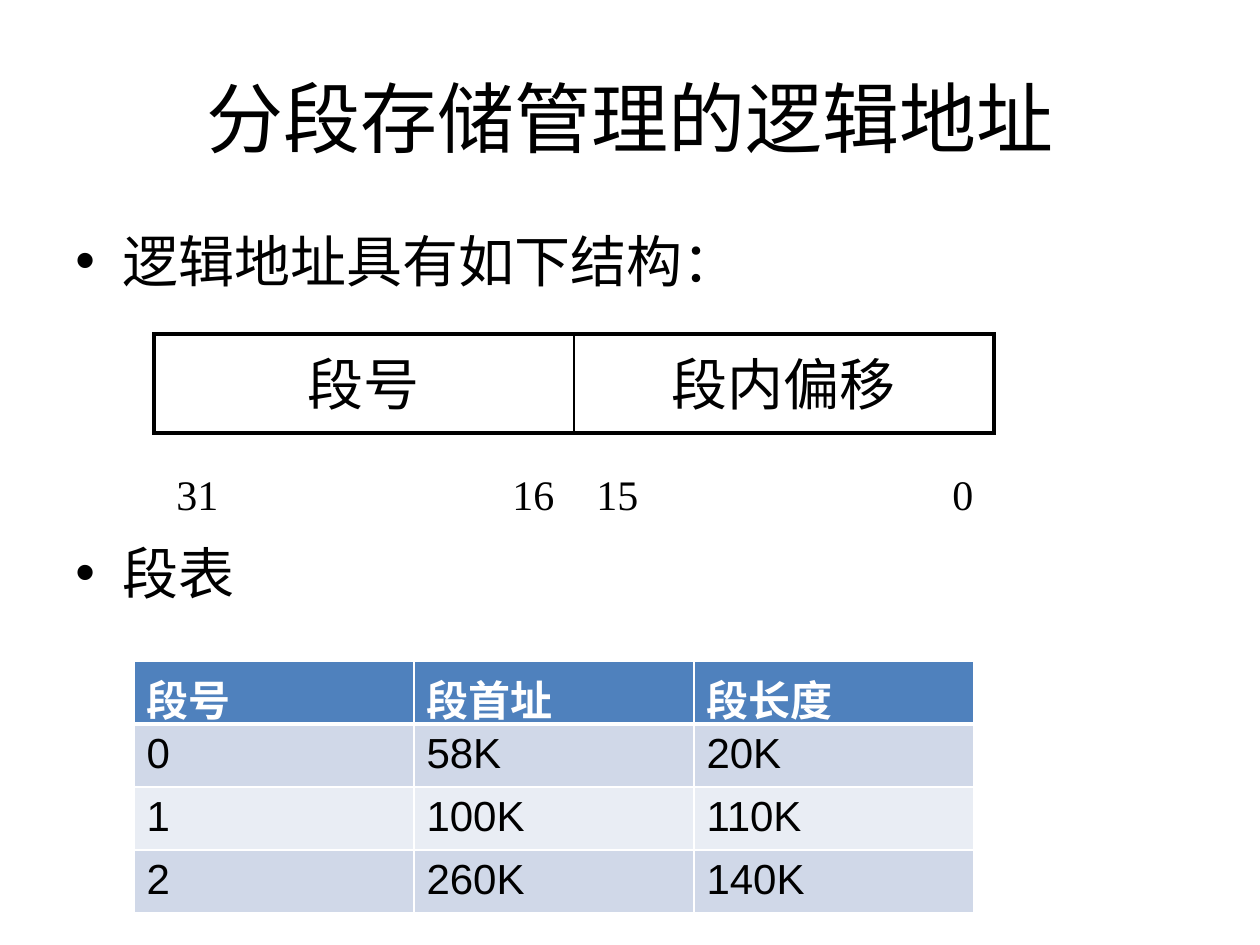
from dataclasses import dataclass
from lxml.etree import SubElement
from pptx import Presentation
from pptx.dml.color import RGBColor
from pptx.enum.text import MSO_ANCHOR, PP_ALIGN
from pptx.oxml.ns import qn
from pptx.util import Pt

PIXEL = 914400 // 126


@dataclass(frozen=True)
class Theme:
    black: str = "000000"
    white: str = "FFFFFF"
    header: str = "4F81BD"
    bands: tuple = ("D0D8E8", "E9EDF4")
    heading_font: str = "Calibri"
    table_font: str = "Arial"
    bit_font: str = "Times New Roman"
    title_size: int = 44
    body_size: int = 32
    small_size: int = 24


theme = Theme()


def write(paragraph, text, font, size, color=theme.black, bold=False,
          align=PP_ALIGN.LEFT, before=0):
    paragraph.alignment = align
    paragraph.space_before = Pt(before)
    run = paragraph.add_run()
    run.text = text
    run.font.name = font
    run.font.size = Pt(size)
    run.font.bold = bold
    run.font.color.rgb = RGBColor.from_string(color)


def set_borders(cell, color, left=1, right=1, top=1, bottom=1):
    properties = cell._tc.get_or_add_tcPr()
    for side, width in zip("LRTB", (left, right, top, bottom)):
        line = SubElement(properties, qn(f"a:ln{side}"), w=str(Pt(width)))
        fill = SubElement(line, qn("a:solidFill"))
        SubElement(fill, qn("a:srgbClr"), val=color)


presentation = Presentation()
presentation.slide_width = 1260 * PIXEL
presentation.slide_height = 945 * PIXEL
slide = presentation.slides.add_slide(presentation.slide_layouts[5])

# Title
title = slide.shapes.title
title.left, title.top, title.width, title.height = (
    value * PIXEL for value in (63, 38, 1134, 157))
title.text_frame.vertical_anchor = MSO_ANCHOR.MIDDLE
write(title.text_frame.paragraphs[0], "分段存储管理的逻辑地址",
      theme.heading_font, theme.title_size, align=PP_ALIGN.CENTER)

# Bullets, with room for the address diagram between them
body = slide.shapes.add_textbox(
    63 * PIXEL, 220 * PIXEL, 1134 * PIXEL, 624 * PIXEL).text_frame
body.word_wrap = True
indent = 47 * PIXEL
for index, (text, before) in enumerate((("逻辑地址具有如下结构:".replace(":", "："), 0),
                                        ("段表", 140))):
    paragraph = body.add_paragraph() if index else body.paragraphs[0]
    write(paragraph, text, theme.heading_font, theme.body_size, before=before)
    properties = paragraph._p.get_or_add_pPr()
    properties.set("marL", str(indent))
    properties.set("indent", str(-indent))
    SubElement(properties, qn("a:buFont"), typeface="Arial")
    SubElement(properties, qn("a:buChar"), char="•")

# Address structure
address = slide.shapes.add_table(
    1, 2, 154 * PIXEL, 334 * PIXEL, 840 * PIXEL, 99 * PIXEL).table
address.first_row = address.horz_banding = False
for cell, text, left, right in zip(address.rows[0].cells, ("段号", "段内偏移"),
                                   (2.25, 1), (1, 2.25)):
    set_borders(cell, theme.black, left, right, top=2.25, bottom=2.25)
    cell.fill.background()
    write(cell.text_frame.paragraphs[0], text, theme.table_font,
          theme.body_size, align=PP_ALIGN.CENTER, before=6.4)

# Bit numbers, spaced by tab stops
bits = slide.shapes.add_textbox(
    164 * PIXEL, 462 * PIXEL, 852 * PIXEL, 64 * PIXEL).text_frame
bits.word_wrap = True
paragraph = bits.paragraphs[0]
write(paragraph, "31\t16\t15\t0", theme.bit_font, theme.small_size)
tabs = SubElement(paragraph._p.get_or_add_pPr(), qn("a:tabLst"))
for position in (336, 420, 776):
    SubElement(tabs, qn("a:tab"), pos=str(position * PIXEL), algn="l")

# Segment table
segments = (
    ("段号", "段首址", "段长度"),
    ("0", "58K", "20K"),
    ("1", "100K", "110K"),
    ("2", "260K", "140K"),
)
segment_table = slide.shapes.add_table(
    len(segments), 3, 134 * PIXEL, 661 * PIXEL, 840 * PIXEL, 252 * PIXEL).table
for row_index, values in enumerate(segments):
    is_header = row_index == 0
    fill_color = theme.header if is_header else theme.bands[(row_index - 1) % 2]
    for cell, text in zip(segment_table.rows[row_index].cells, values):
        set_borders(cell, theme.white, top=3 if row_index == 1 else 1,
                    bottom=3 if is_header else 1)
        cell.fill.solid()
        cell.fill.fore_color.rgb = RGBColor.from_string(fill_color)
        write(cell.text_frame.paragraphs[0], text, theme.table_font,
              theme.small_size, bold=is_header,
              color=theme.white if is_header else theme.black)

presentation.save("out.pptx")
